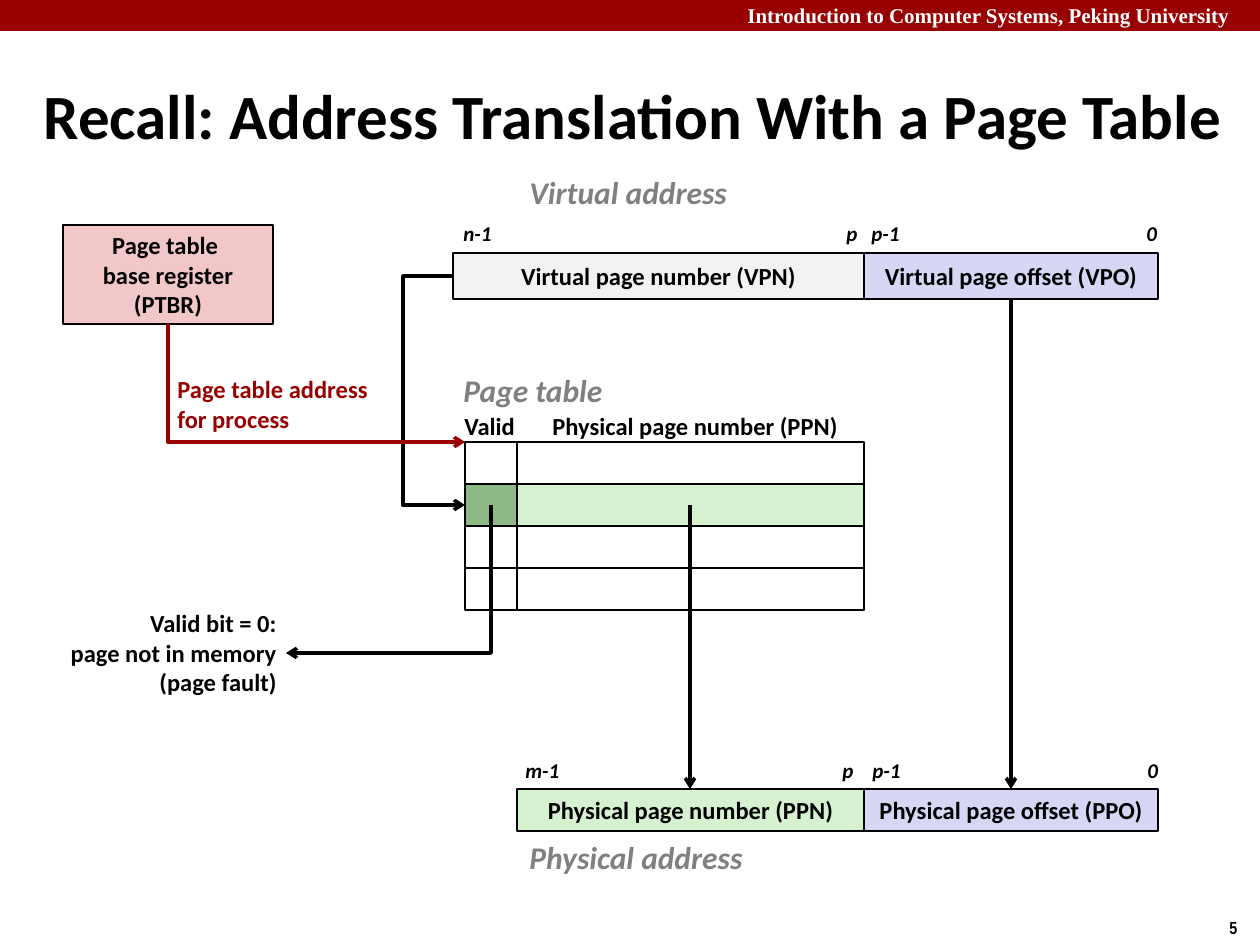
from dataclasses import dataclass

from lxml.etree import SubElement
from pptx import Presentation
from pptx.dml.color import RGBColor
from pptx.enum.shapes import MSO_CONNECTOR as Connector, MSO_SHAPE as Shape
from pptx.enum.text import MSO_ANCHOR as Anchor, MSO_AUTO_SIZE as AutoSize, PP_ALIGN as Align
from pptx.oxml.ns import qn
from pptx.util import Pt

PX = 914400 / 126


def emu(*lengths):
    return [round(length * PX) for length in lengths]


@dataclass(frozen=True)
class Theme:
    font: str = "Calibri"
    header_font: str = "Times New Roman"
    number_font: str = "Arial Narrow"
    black: str = "000000"
    white: str = "FFFFFF"
    red: str = "990000"
    gray: str = "808080"
    pink: str = "F1C7C7"
    silver: str = "F2F2F2"
    lavender: str = "D6D6F5"
    green: str = "D5F1CF"
    dark_green: str = "8DBA84"
    title: int = 36
    heading: int = 18
    body: int = 14
    small: int = 12
    tiny: int = 10


class SlideBuilder:
    def __init__(self, page, theme):
        self.page = page
        self.theme = theme

    def set_text(self, frame, text, size, color=None, font=None, italic=False, align=Align.LEFT):
        frame.text = text
        for para in frame.paragraphs:
            para.alignment = align
            for span in para.runs:
                span.font.name = font or self.theme.font
                span.font.size = Pt(size)
                span.font.bold = True
                span.font.italic = italic
                span.font.color.rgb = RGBColor.from_string(color or self.theme.black)

    def title(self, text, *bounds):
        box = self.page.shapes.title
        box.left, box.top, box.width, box.height = emu(*bounds)
        frame = box.text_frame
        frame.auto_size = AutoSize.NONE
        frame.word_wrap = True
        frame.vertical_anchor = Anchor.MIDDLE
        self.set_text(frame, text, self.theme.title)

    def label(self, text, *bounds, size=None, **style):
        box = self.page.shapes.add_textbox(*emu(*bounds))
        box.text_frame.word_wrap = False
        box.text_frame.auto_size = AutoSize.SHAPE_TO_FIT_TEXT
        self.set_text(box.text_frame, text, size or self.theme.body, **style)

    def heading(self, text, *bounds):
        self.label(text, *bounds, size=self.theme.heading, color=self.theme.gray, italic=True)

    def bits(self, top, *labels):
        """Add a row of bit positions, each given as text, left and width."""
        for text, left, width in labels:
            self.label(text, left, top, width, 38, size=self.theme.small, italic=True)

    def box(self, *bounds, fill=None, text=None, outlined=True):
        box = self.page.shapes.add_shape(Shape.RECTANGLE, *emu(*bounds))
        box.shadow.inherit = False
        if fill:
            box.fill.solid()
            box.fill.fore_color.rgb = RGBColor.from_string(fill)
        else:
            box.fill.background()
        if outlined:
            box.line.color.rgb = RGBColor.from_string(self.theme.black)
            box.line.width = Pt(1)
        else:
            box.line.fill.background()
        if text:
            box.text_frame.word_wrap = False
            box.text_frame.vertical_anchor = Anchor.MIDDLE
            self.set_text(box.text_frame, text, self.theme.body, align=Align.CENTER)

    def arrow(self, *ends, kind=Connector.STRAIGHT, color=None):
        line = self.page.shapes.add_connector(kind, *emu(*ends))
        line.line.color.rgb = RGBColor.from_string(color or self.theme.black)
        line.line.width = Pt(2)
        properties = line._element.spPr
        SubElement(properties.find(qn("a:ln")), qn("a:tailEnd"), type="arrow")
        SubElement(properties, qn("a:effectLst"))
        return properties

    def corner_arrow(self, x1, y1, x2, y2, color=None):
        """Go straight down, then sideways: a quarter-turned single bend."""
        center_x, center_y = (x1 + x2) / 2, (y1 + y2) / 2
        half_width, half_height = (y2 - y1) / 2, abs(x2 - x1) / 2
        side = 1 if x2 > x1 else -1
        properties = self.arrow(
            center_x + side * half_width, center_y - half_height,
            center_x - side * half_width, center_y + half_height,
            kind=Connector.ELBOW, color=color)
        properties.find(qn("a:prstGeom")).set("prst", "bentConnector2")
        properties.find(qn("a:xfrm")).set("rot", str((270 if side > 0 else 90) * 60000))

    def loop_arrow(self, x1, y1, x2, y2, bend_x):
        """Go sideways to bend_x, down, and back to the end point."""
        properties = self.arrow(x1, y1, x2, y2, kind=Connector.ELBOW)
        guides = properties.find(qn("a:prstGeom")).get_or_add_avLst()
        share = round((bend_x - x1) / (x2 - x1) * 100000)
        SubElement(guides, qn("a:gd"), name="adj1", fmla=f"val {share}")


def main():
    theme = Theme()
    deck = Presentation()
    deck.slide_width, deck.slide_height = emu(1260, 945)
    slide = SlideBuilder(deck.slides.add_slide(deck.slide_layouts[5]), theme)

    slide.box(0, 0, 1260, 31, fill=theme.red, outlined=False)
    slide.label("Introduction to Computer Systems, Peking University", 735, -4, 534, 38,
                size=theme.small, color=theme.white, font=theme.header_font)
    slide.label("5", 1217, 911, 43, 34, size=theme.tiny, font=theme.number_font)
    slide.title("Recall: Address Translation With a Page Table", 31, 62, 1229, 105)

    # Column edges shared by the addresses and the page table
    valid_x, number_x, offset_x, right_x = 465, 517, 864, 1158
    number_width, offset_width = offset_x - number_x, right_x - offset_x
    number_center, offset_center = number_x + number_width // 2, offset_x + offset_width // 2

    # Virtual address
    slide.heading("Virtual address", 517, 167, 224, 50)
    slide.box(453, 253, offset_x - 453, 46, fill=theme.silver, text="Virtual page number (VPN)")
    slide.box(offset_x, 253, offset_width, 46, fill=theme.lavender,
              text="Virtual page offset (VPO)")
    slide.bits(214, ("n-1", 451, 59), ("p", 834, 42), ("p-1", 859, 59), ("0", 1134, 42))

    # Page table
    table_y, row_height = 442, 42
    hit_y = table_y + row_height * 3 // 2
    slide.heading("Page table", 451, 365, 179, 50)
    slide.label("Valid", 452, 405, 77, 43)
    slide.label("Physical page number (PPN)", 540, 405, 312, 43)
    for row in range(4):
        top = table_y + row * row_height
        valid_fill, number_fill = (theme.dark_green, theme.green) if row == 1 else (None, None)
        slide.box(number_x, top, number_width, row_height, fill=number_fill)
        slide.box(valid_x, top, number_x - valid_x, row_height, fill=valid_fill)
    slide.loop_arrow(453, 276, valid_x, hit_y, bend_x=403)

    # Base register
    slide.box(63, 225, 210, 99, fill=theme.pink, text="Page table \vbase register\n(PTBR)")
    slide.corner_arrow(168, 324, valid_x, table_y, color=theme.red)
    slide.label("Page table address\nfor process", 165, 368, 218, 72, color=theme.red)

    # Page fault
    slide.corner_arrow(491, hit_y, 286, 653)
    slide.label("Valid bit = 0:\npage not in memory\n(page fault)", 57, 602, 232, 102,
                align=Align.RIGHT)

    # Physical address
    physical_y = 789
    slide.box(number_x, physical_y, number_width, 42, fill=theme.green,
              text="Physical page number (PPN)")
    slide.box(offset_x, physical_y, offset_width, 42, fill=theme.lavender,
              text="Physical page offset (PPO)")
    slide.bits(751, ("m-1", 513, 64), ("p", 830, 42), ("p-1", 860, 59), ("0", 1135, 42))
    slide.arrow(number_center, hit_y, number_center, physical_y)
    slide.arrow(offset_center, 299, offset_center, physical_y)
    slide.heading("Physical address", 517, 832, 241, 50)

    deck.save("out.pptx")


if __name__ == "__main__":
    main()
